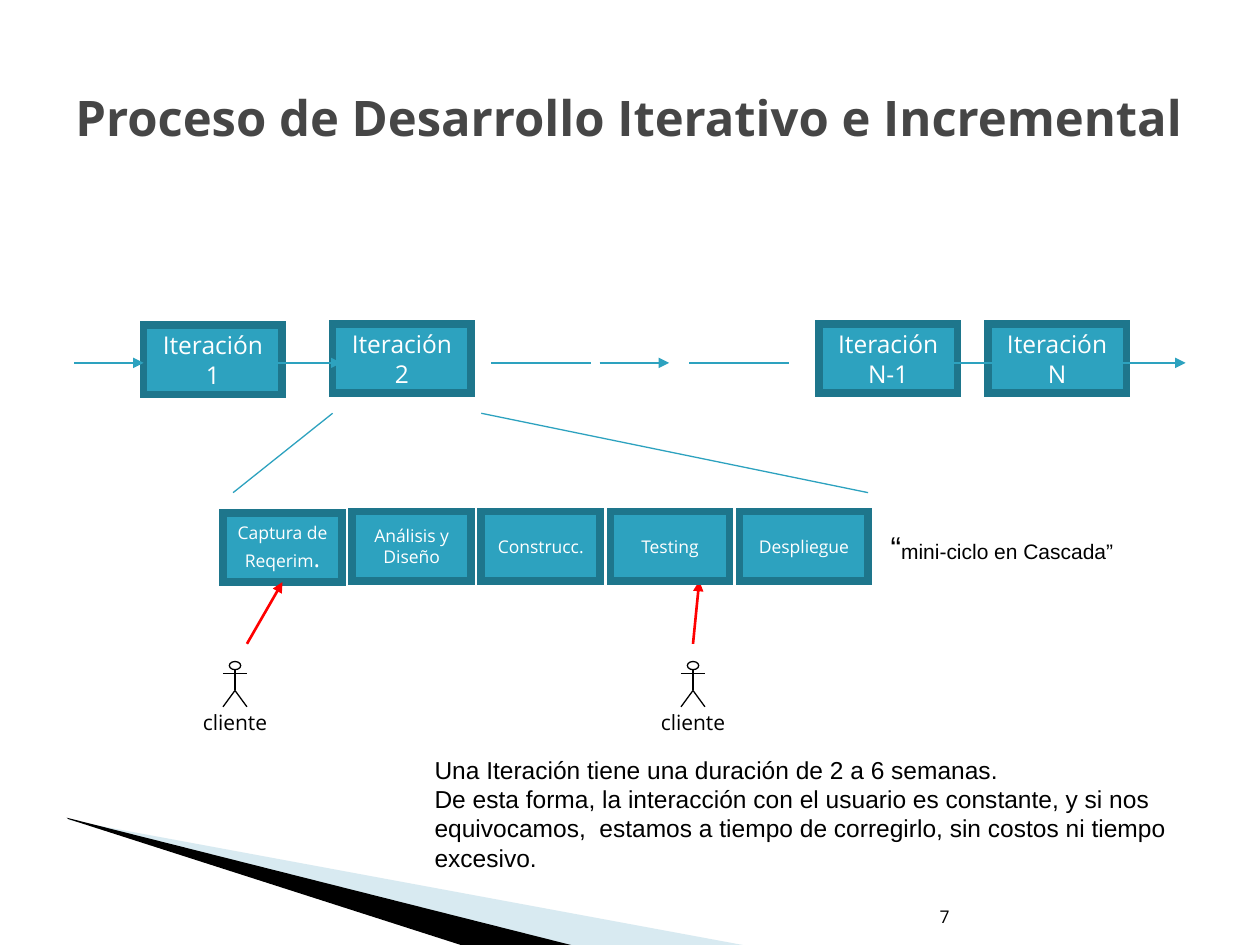
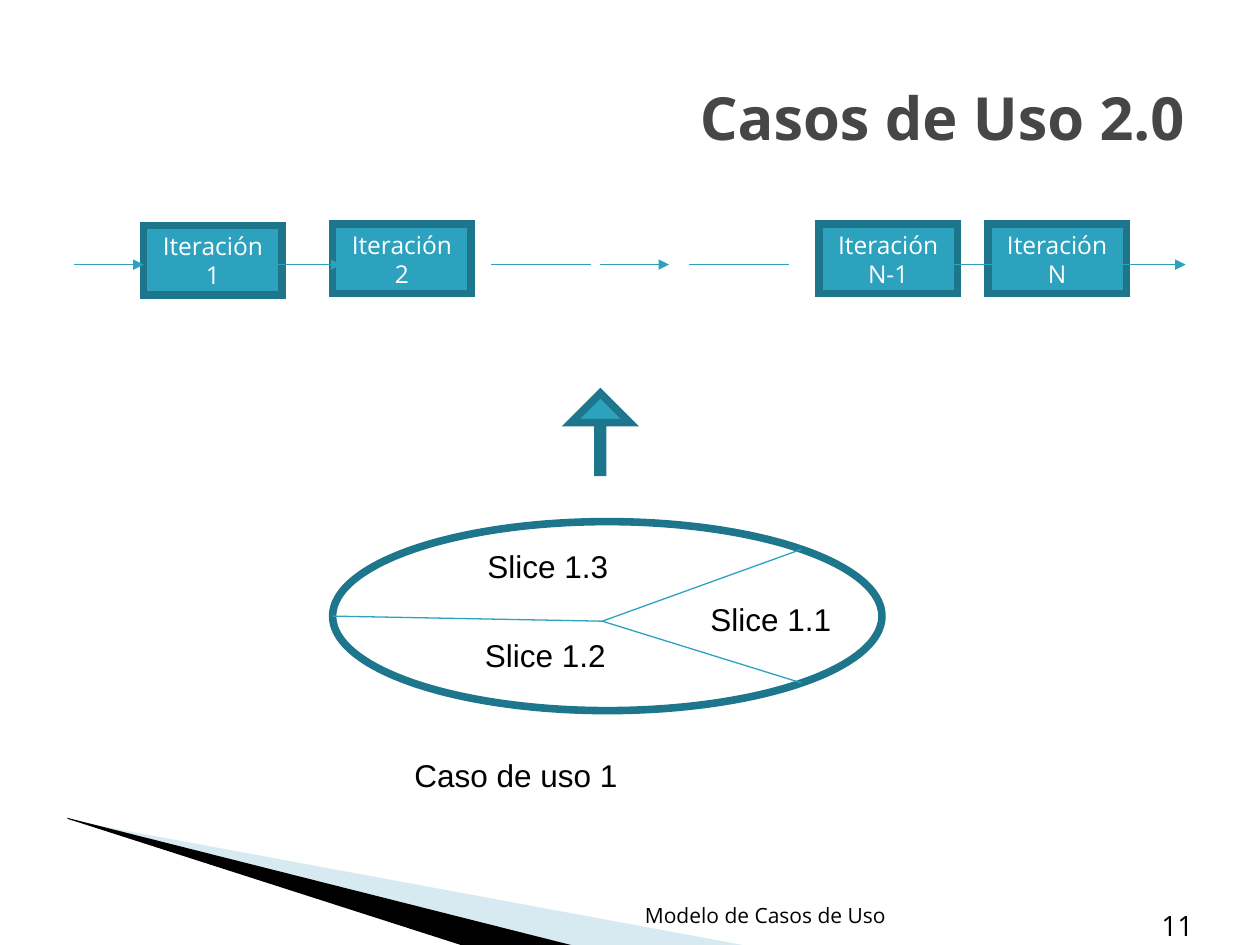
from lxml.etree import SubElement
from pptx import Presentation
from pptx.dml.color import RGBColor
from pptx.enum.shapes import MSO_CONNECTOR, MSO_SHAPE
from pptx.enum.text import MSO_ANCHOR, PP_ALIGN
from pptx.oxml.ns import qn
from pptx.util import Inches, Pt

presentation = Presentation()
presentation.slide_width = Inches(10)
presentation.slide_height = Inches(7.5)

# Grid: 100 columns by 75 rows
column = presentation.slide_width / 100
row = presentation.slide_height / 75

# Shared colours and formats
rgb = RGBColor.from_string
TEAL, DARK_TEAL, PALE_TEAL = "2DA2BF", "1E768C", "9FCBDC"
BLACK, WHITE, GREY, RED = "000000", "FFFFFF", "464646", "FF0000"
BOX = {"fill": TEAL, "line": DARK_TEAL, "weight": 4.33, "color": WHITE,
       "align": PP_ALIGN.CENTER, "anchor": MSO_ANCHOR.MIDDLE}
TITLE = {"color": GREY, "bold": True, "anchor": MSO_ANCHOR.MIDDLE}
FOOTER = {"anchor": MSO_ANCHOR.BOTTOM}
ARIAL = {"name": "Arial"}


def add_part(shapes, kind, box, paragraphs=(), size=14, name="Open Sans",
             color=BLACK, bold=False, align=PP_ALIGN.LEFT,
             anchor=MSO_ANCHOR.TOP, inset=True, fill=None, line=None, weight=0.75):
    """Add a preset shape, or a text box if kind is None. A paragraph is a
    string or a list of (text, size) runs; a newline is a line break."""
    left, top, width, height = box
    place = [round(n) for n in (left * column, top * row, width * column, height * row)]
    if kind is None:
        shape = shapes.add_textbox(*place)
    else:
        shape = shapes.add_shape(kind, *place)
        shape.shadow.inherit = False
        if fill:
            shape.fill.solid()
            shape.fill.fore_color.rgb = rgb(fill)
        else:
            shape.fill.background()
        shape.line.color.rgb = rgb(line)
        shape.line.width = Pt(weight)
        SubElement(shape._element.spPr.find(qn("a:ln")), qn("a:miter"), lim="800000")
    frame = shape.text_frame
    frame.word_wrap = True
    frame.vertical_anchor = anchor
    if not inset:
        for side in ("left", "top", "right", "bottom"):
            setattr(frame, f"margin_{side}", 0)
    for index, content in enumerate(paragraphs):
        paragraph = frame.add_paragraph() if index else frame.paragraphs[0]
        paragraph.alignment = align
        runs = [(content, size)] if isinstance(content, str) else content
        for text, run_size in runs:
            for part, words in enumerate(text.split("\n")):
                if part:
                    paragraph.add_line_break()
                run = paragraph.add_run()
                run.text = words
                values = {"size": Pt(run_size), "name": name, "bold": bold}
                for attribute, value in values.items():
                    setattr(run.font, attribute, value)
                run.font.color.rgb = rgb(color)
    return shape


def add_line(shapes, start, end, color=TEAL, weight=0.75, arrow=False):
    connector = shapes.add_connector(
        MSO_CONNECTOR.STRAIGHT, round(start[0] * column), round(start[1] * row),
        round(end[0] * column), round(end[1] * row))
    connector.line.color.rgb = rgb(color)
    connector.line.width = Pt(weight)
    if arrow:
        SubElement(connector.line._ln, qn("a:tailEnd"), type="triangle")
    SubElement(connector._element.spPr, qn("a:effectLst"))
    return connector


# Both slides: corner wedges, title and footers
wedges = [
    (PALE_TEAL, 40, [(5.5, 65.1), (59.5, 75.1), (45.6, 75.1), (5.5, 65)]),
    (BLACK, 100, [(5.3, 64.9), (45.7, 75.1), (37.2, 75.2), (5.4, 65)]),
]
headings = [
    ("Proceso de Desarrollo Iterativo e Incremental", 28, PP_ALIGN.LEFT),
    ("Casos de Uso 2.0", 34, PP_ALIGN.RIGHT),
]
footers = [
    [("7", 10, (73.6, 70.1, 11.1, 4), PP_ALIGN.LEFT)],
    [("11", 16, (70, 71.3, 25.7, 4), PP_ALIGN.RIGHT),
     ("Modelo de Casos de Uso", 12, (47.9, 70.1, 25.7, 4), PP_ALIGN.CENTER)],
]
slides = []
for (title, title_size, title_align), notes in zip(headings, footers):
    slide = presentation.slides.add_slide(presentation.slide_layouts[6])
    slides.append(slide)
    for color, opacity, points in wedges:
        corners = [(x * column, y * row) for x, y in points]
        builder = slide.shapes.build_freeform(*corners[0])
        builder.add_line_segments(corners[1:])
        wedge = builder.convert_to_shape()
        wedge.shadow.inherit = False
        wedge.fill.solid()
        wedge.fill.fore_color.rgb = rgb(color)
        wedge.line.fill.background()
        color_element = wedge._element.spPr.find(qn("a:solidFill"))[0]
        SubElement(color_element, qn("a:alpha"), val=str(opacity * 1000))
    add_part(slide.shapes, None, (5, 3, 90, 12.5), [title], title_size,
             align=title_align, **TITLE)
    for text, size, box, align in notes:
        add_part(slide.shapes, None, box, [text], size, align=align, **FOOTER)

# Both slides: row of iterations and the flow through it
iterations = [("1", 11.4, 0.1), ("2", 26.4, 0), ("N-1", 65, 0), ("N", 78.4, 0)]
for slide, top, flow in zip(slides, (25.7, 17.8), (28.8, 21)):
    for number, left, drop in iterations:
        add_part(slide.shapes, MSO_SHAPE.RECTANGLE, (left, top + drop, 11, 5.5),
                 [f"Iteración\n{number}"], **BOX)
    for left in (5.9, 21.6, 47.6, 74.4, 88.6):
        add_line(slide.shapes, (left, flow), (left + 5.5, flow), arrow=True)
    for left in (39, 54.7):
        add_line(slide.shapes, (left, flow), (left + 7.9, flow))

process, use_cases = [slide.shapes for slide in slides]

# Slide 1: clients as stick figures
for center in (18.65, 55):
    client = process.add_group_shape().shapes
    add_part(client, MSO_SHAPE.OVAL, (center - 0.45, 52.5, 0.9, 0.65),
             fill=WHITE, line=BLACK)
    for start, end in [((-0.95, 53.45), (0.95, 53.45)), ((0, 53.1), (0, 54.8)),
                       ((0, 54.8), (-0.95, 56.1)), ((0, 54.8), (0.95, 56.1))]:
        add_line(client, (center + start[0], start[1]),
                 (center + end[0], end[1]), BLACK)
    add_part(client, None, (center - 2.55, 56.3, 5.4, 2), ["cliente"], 12, inset=False)
add_line(process, (55, 51.1), (55.5, 46.1), RED, 1.5, arrow=True)

# Slide 1: phases of the small cascade
phases = [
    [[("Captura de Reqerim", 10), (".", 14)]],
    ["Análisis y", "Diseño"],
    ["Construcc."],
    ["Testing"],
    ["Despliegue"],
]
phase_boxes = []
for index, words in enumerate(phases):
    width = 10.2 if index == len(phases) - 1 else 9.45
    top = 40.6 if index else 40.7
    phase_boxes.append(add_part(
        process, MSO_SHAPE.RECTANGLE, (17.7 + 10.25 * index, top, width, 5.5),
        words, 10, **BOX))
request = add_line(process, (19.6, 51.1), (22.4, 46.2), RED, 1.5, arrow=True)
request.end_connect(phase_boxes[0], 2)

# Slide 1: zoom lines and explanations
add_line(process, (26.4, 32.8), (18.5, 39.1))
add_line(process, (38.2, 32.8), (68.9, 39.1))
add_part(process, None, (69.7, 41.4, 20.2, 4),
         [[("“", 18), ("mini-ciclo en Cascada”", 12)]], **ARIAL)
add_part(process, None, (33.5, 59.4, 60.9, 10.4), [
    "Una Iteración tiene una duración de 2 a 6 semanas.",
    "De esta forma, la interacción con el usuario es constante, y si nos",
    "equivocamos,  estamos a tiempo de corregirlo, sin costos ni tiempo",
    "excesivo.",
], **ARIAL)

# Slide 2: use case cut into slices
add_part(use_cases, MSO_SHAPE.OVAL, (26.4, 41.4, 43.6, 15),
         line=DARK_TEAL, weight=4.33)
for edge in [(63.6, 43.6), (63.6, 54.2), (26.4, 48.9)]:
    add_line(use_cases, (47.8, 49.3), edge)
labels = [("Caso de uso 1", 31.9, 59.5, 18.5), ("Slice 1.1", 55.4, 47.1, 12),
          ("Slice 1.2", 37.5, 50, 12), ("Slice 1.3", 37.7, 42.9, 12)]
for text, left, top, width in labels:
    add_part(use_cases, None, (left, top, width, 4), [text], 18, **ARIAL)

# Slide 2: arrow from the use case to the iterations
arrow = add_part(use_cases, MSO_SHAPE.UP_ARROW, (45.3, 31.2, 4.7, 6.3), **BOX)
arrow.adjustments[0] = 0.08
arrow.adjustments[1] = 0.5

presentation.save("out.pptx")
